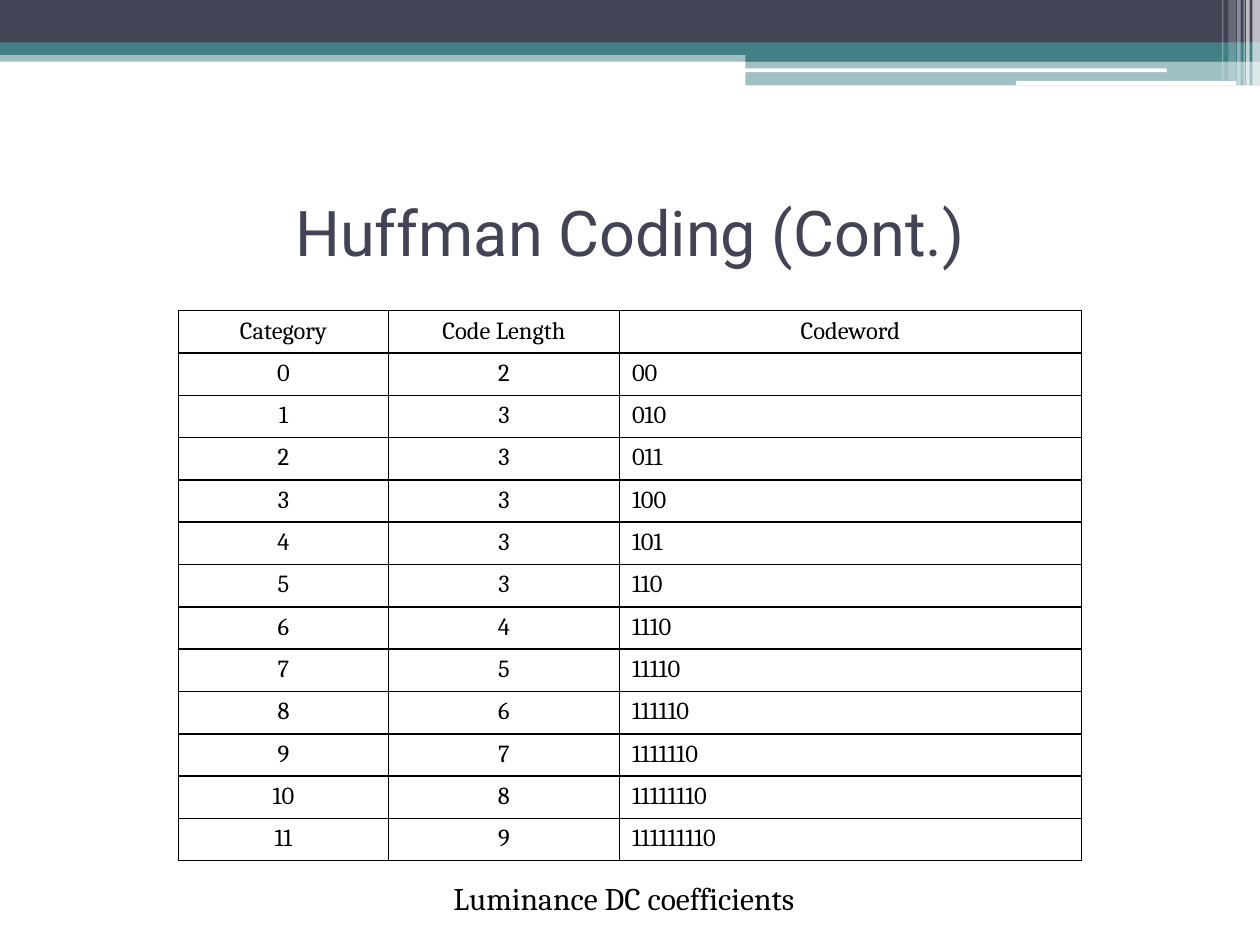
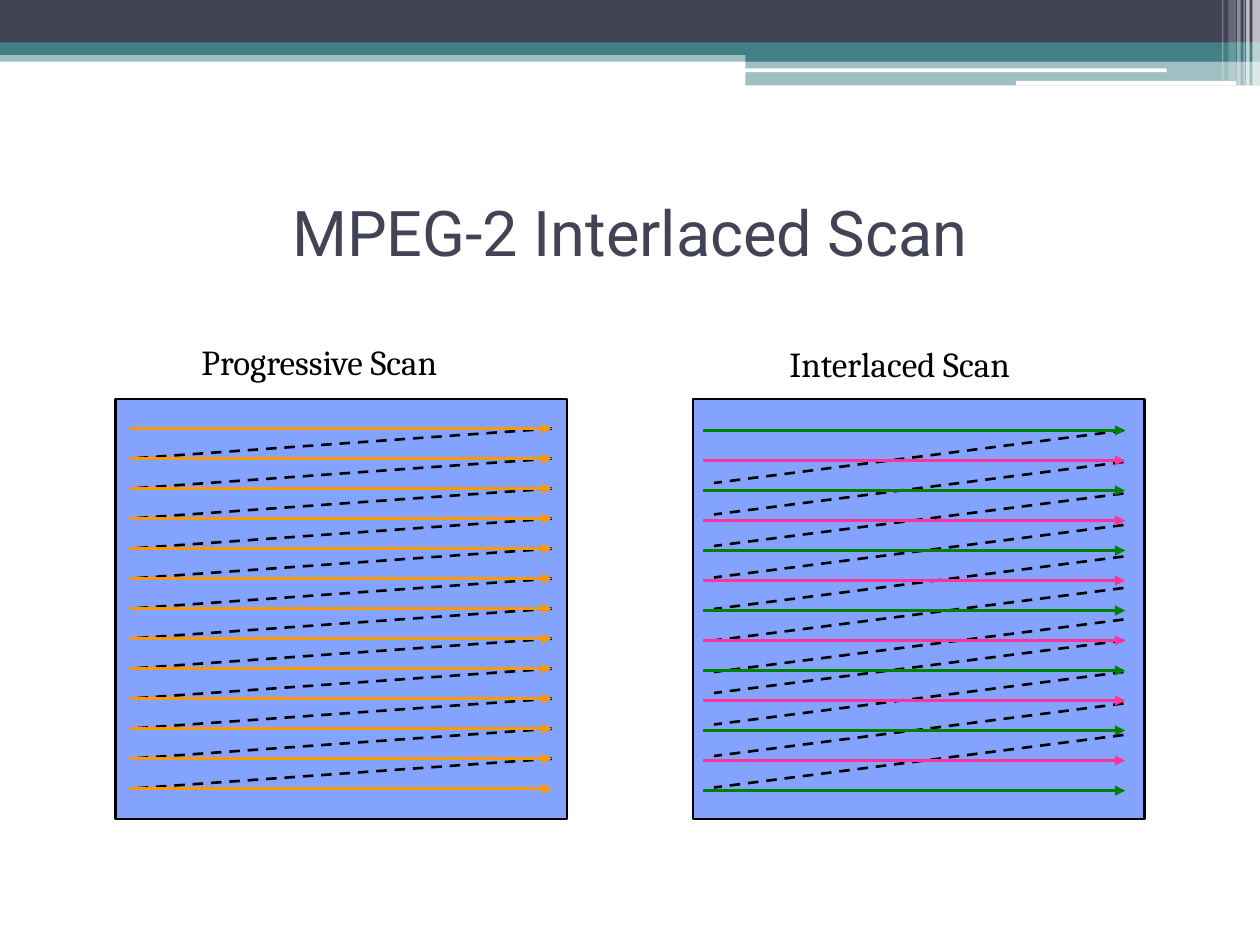
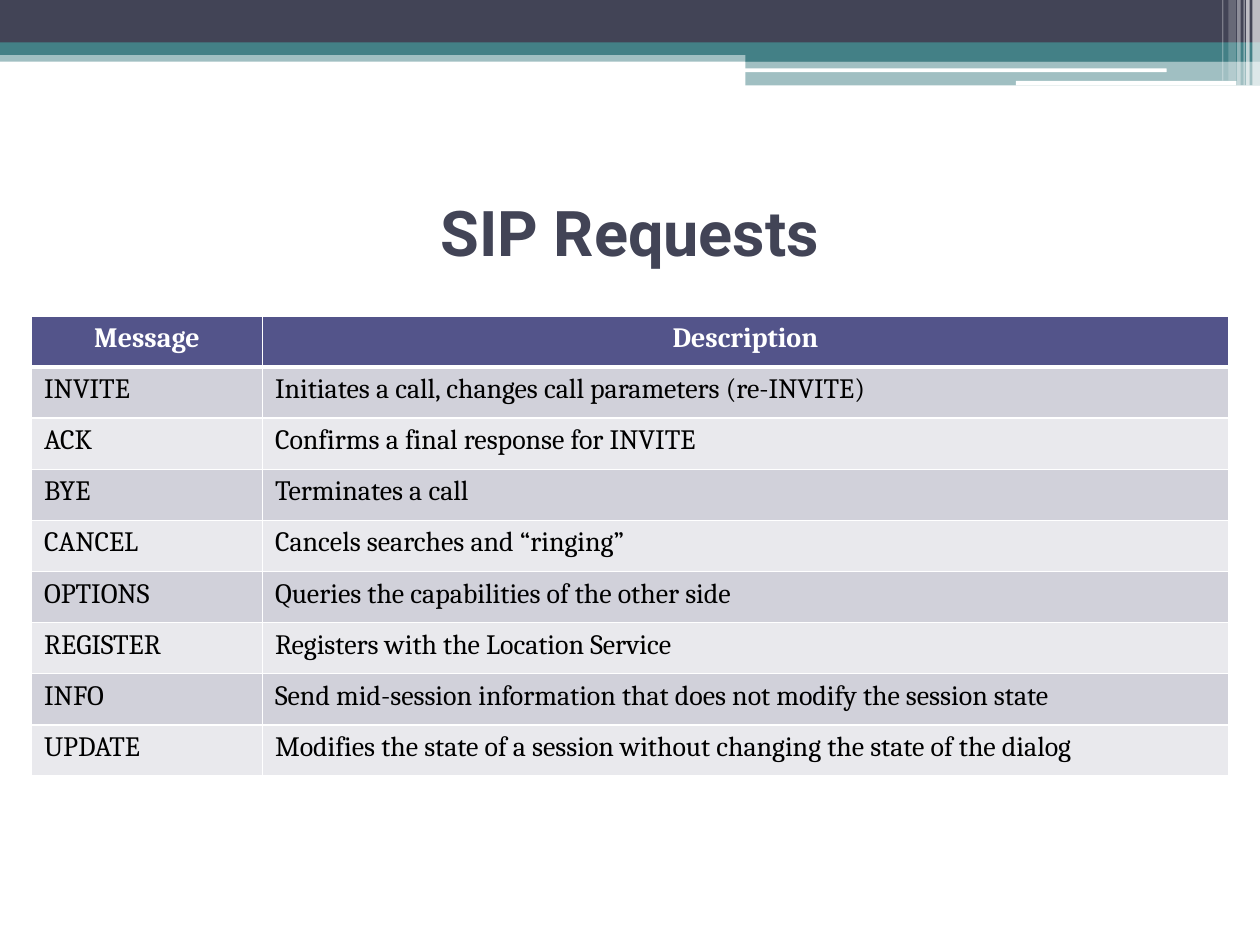
from lxml.etree import SubElement
from pptx import Presentation
from pptx.dml.color import RGBColor
from pptx.enum.dml import MSO_LINE_DASH_STYLE as Dash
from pptx.enum.shapes import MSO_CONNECTOR as Connector
from pptx.enum.shapes import MSO_SHAPE as Preset
from pptx.enum.shapes import PP_PLACEHOLDER as Role
from pptx.enum.text import MSO_ANCHOR as Anchor
from pptx.enum.text import PP_ALIGN as Align
from pptx.oxml.ns import qn
from pptx.util import Pt

COLORS = {
    "navy": "424456", "teal": "438086", "white": "FFFFFF", "black": "000000",
    "screen": "3366FF", "orange": "FF9900", "green": "008000", "pink": "FF3399",
    "header": "53548A", "odd row": "D1D1DA", "even row": "E9E9ED",
}
TITLE_FONT, BODY_FONT = "Roboto", "Cambria"

# left, top, width, height, colour, opacity in percent
BANDS = [
    (0, 28.8, 720, 6.5, "teal", 50),
    (0, 0, 720, 24.5, "navy", 100),
    (0, 24.2, 720, 7.2, "teal", 100),
    (426, 28.1, 294, 7.2, "teal", 100),
    (426, 34.8, 294, 14, "teal", 50),
]
RULES = [
    (425.5, 39.1, 241.2, 2.2, "white", 100),
    (580.5, 46.2, 126, 2.6, "white", 100),
]
STRIPES = [
    (715.7, 0, 4.3, 48.8, "white", 65),
    (712.1, 0, 2, 48.8, "white", 65),
    (710.6, 0, 0.72, 48.8, "white", 60),
    (707, 0, 2, 48.8, "white", 40),
    (702, 0, 4.3, 46.1, "white", 20),
    (698.4, 0, 0.72, 46.1, "white", 30),
]

CODE_LENGTHS = [2, 3, 3, 3, 3, 3, 4, 5, 6, 7, 8, 9]
CODEWORDS = ["00", "010", "011", "100", "101", "110", "1110", "11110", "111110",
             "1111110", "11111110", "111111110"]
SIP_REQUESTS = [
    ("Message", "Description"),
    ("INVITE", "Initiates a call, changes call parameters (re-INVITE)"),
    ("ACK", "Confirms a final response for INVITE"),
    ("BYE", "Terminates a call"),
    ("CANCEL", "Cancels searches and “ringing”"),
    ("OPTIONS", "Queries the capabilities of the other side"),
    ("REGISTER", "Registers with the Location Service"),
    ("INFO", "Send mid-session information that does not modify the session state"),
    ("UPDATE", "Modifies the state of a session without changing the state of the dialog"),
]


def rgb(name):
    return RGBColor.from_string(COLORS[name])


def style_text(frame, size, color="black", font=BODY_FONT, bold=False, align=Align.LEFT):
    for paragraph in frame.paragraphs:
        paragraph.alignment = align
        for run in paragraph.runs:
            run.font.size = Pt(size)
            run.font.name = font
            run.font.bold = bold
            run.font.color.rgb = rgb(color)


def set_border(cell, side, color, width):
    """Draw one edge of a cell; side is L, R, T or B."""
    edge = SubElement(cell._tc.get_or_add_tcPr(), qn(f"a:ln{side}"), w=str(Pt(width)))
    fill = SubElement(edge, qn("a:solidFill"))
    SubElement(fill, qn("a:srgbClr"), val=COLORS[color])


class Deck:
    """Holds the shared style and the slide being drawn."""

    def __init__(self):
        self.presentation = Presentation()
        self.presentation.slide_width = Pt(720)
        self.presentation.slide_height = Pt(540)
        self.layout = self.presentation.slide_layouts.get_by_name("Title Only")
        self.slide = None

    def start_slide(self, title, bold=False):
        first = self.slide is None
        self.slide = self.presentation.slides.add_slide(self.layout)
        if first:
            self.decorate_layout()
        heading = self.slide.shapes.title
        heading.left, heading.top, heading.width, heading.height = map(Pt, (36, 90, 648, 84))
        heading.text_frame.text = title
        heading.text_frame.vertical_anchor = Anchor.MIDDLE
        style_text(heading.text_frame, 36, "navy", TITLE_FONT, bold, Align.CENTER)

    def decorate_layout(self):
        """Draw the top bands once and move them to the shared layout."""
        for placeholder in list(self.layout.placeholders):
            if placeholder.placeholder_format.type != Role.TITLE:
                self.layout.shapes.element.remove(placeholder.element)
        for preset, parts in ((Preset.RECTANGLE, BANDS),
                              (Preset.ROUNDED_RECTANGLE, RULES),
                              (Preset.RECTANGLE, STRIPES)):
            for *box, color, opacity in parts:
                band = self.shape(preset, box, color, opacity)
                self.layout.shapes.element.append(band.element)

    def shape(self, preset, box, color, opacity=100, outline=None):
        shape = self.slide.shapes.add_shape(preset, *map(Pt, box))
        shape.shadow.inherit = False
        shape.fill.solid()
        shape.fill.fore_color.rgb = rgb(color)
        if opacity < 100:
            tint = shape.element.spPr.find(f"{qn('a:solidFill')}/{qn('a:srgbClr')}")
            SubElement(tint, qn("a:alpha"), val=str(opacity * 1000))
        if outline:
            shape.line.color.rgb = rgb(outline)
            shape.line.width = Pt(1.5)
        else:
            shape.line.fill.background()
        return shape

    def text(self, words, box, size, wrap=True):
        frame = self.slide.shapes.add_textbox(*map(Pt, box)).text_frame
        frame.word_wrap = wrap
        frame.text = words
        style_text(frame, size)

    def line(self, start, end, color, dashed=False, arrow=False):
        line = self.slide.shapes.add_connector(Connector.STRAIGHT, *map(Pt, (*start, *end)))
        line.line.color.rgb = rgb(color)
        line.line.width = Pt(1.5)
        if dashed:
            line.line.dash_style = Dash.DASH
        if arrow:
            SubElement(line.line._get_or_add_ln(), qn("a:tailEnd"), type="triangle")
        SubElement(line.element.spPr, qn("a:effectLst"))

    def table(self, rows, origin, widths, row_height, size, border, centered=(), banded=False):
        """Add a table; centered lists the body columns to centre."""
        frame = self.slide.shapes.add_table(
            len(rows), len(widths), *map(Pt, (*origin, sum(widths), row_height * len(rows))))
        table = frame.table
        table.first_row = table.horz_banding = False
        for column, width in zip(table.columns, widths):
            column.width = Pt(width)
        for r, row in enumerate(rows):
            table.rows[r].height = Pt(row_height)
            header = r == 0
            for c, words in enumerate(row):
                cell = table.cell(r, c)
                cell.text_frame.text = str(words)
                middle = header or c in centered
                style_text(cell.text_frame, size, "white" if header and banded else "black",
                           bold=header and banded,
                           align=Align.CENTER if middle else Align.LEFT)
                for side in "LRTB":
                    under_header = (r, side) in ((0, "B"), (1, "T"))
                    set_border(cell, side, border, 3 if banded and under_header else 1)
                if banded:
                    cell.fill.solid()
                    cell.fill.fore_color.rgb = rgb(
                        "header" if header else "odd row" if r % 2 else "even row")
                else:
                    cell.fill.background()

    def scan(self, label, label_box, screen_left, retraces, sweep_span, sweep_top, sweep_colors):
        """Draw a screen with dashed retraces and 13 sweep arrows."""
        self.shape(Preset.RECTANGLE, (screen_left, 228, 258, 240), "screen", 60, "black")
        self.text(label, label_box, 20)
        for start, end in retraces:
            self.line(start, end, "black", dashed=True)
        left, right = sweep_span
        for i in range(13):
            y = sweep_top + 17.15 * i
            self.line((left, y), (right, y), sweep_colors[i % len(sweep_colors)], arrow=True)


def huffman_slide(deck):
    deck.start_slide("Huffman Coding (Cont.)")
    codes = [("Category", "Code Length", "Codeword")]
    codes += zip(range(12), CODE_LENGTHS, CODEWORDS)
    deck.table(codes, (102, 177.5), (120, 132, 264), 24.2, 14, "black", centered=(0, 1))
    deck.text("Luminance DC coefficients", (252, 499, 229, 29), 18, wrap=False)


def scan_slide(deck):
    deck.start_slide("MPEG-2 Interlaced Scan")
    progressive = [((315.4, 244.9 + 17.15 * i), (74.2, 244.9 + 17.15 * (i + 1)))
                   for i in range(12)]
    deck.scan("Progressive Scan", (108, 190.8, 180, 31), 66, progressive,
              (74.2, 315.4), 244.9, ["orange"])
    retrace_tops = [246 + 18 * i for i in range(7)] + [366 + 18 * i for i in range(4)]
    interlaced = [((642, y), (408, y + 30)) for y in retrace_tops]
    deck.scan("Interlaced Scan", (444, 192.3, 180, 31), 396, interlaced,
              (402, 643), 246, ["green", "pink"])


def sip_slide(deck):
    deck.start_slide("SIP Requests", bold=True)
    deck.table(SIP_REQUESTS, (18, 180.6), (132, 552), 29.2, 16, "white", banded=True)


def main():
    deck = Deck()
    huffman_slide(deck)
    scan_slide(deck)
    sip_slide(deck)
    deck.presentation.save("out.pptx")


if __name__ == "__main__":
    main()
